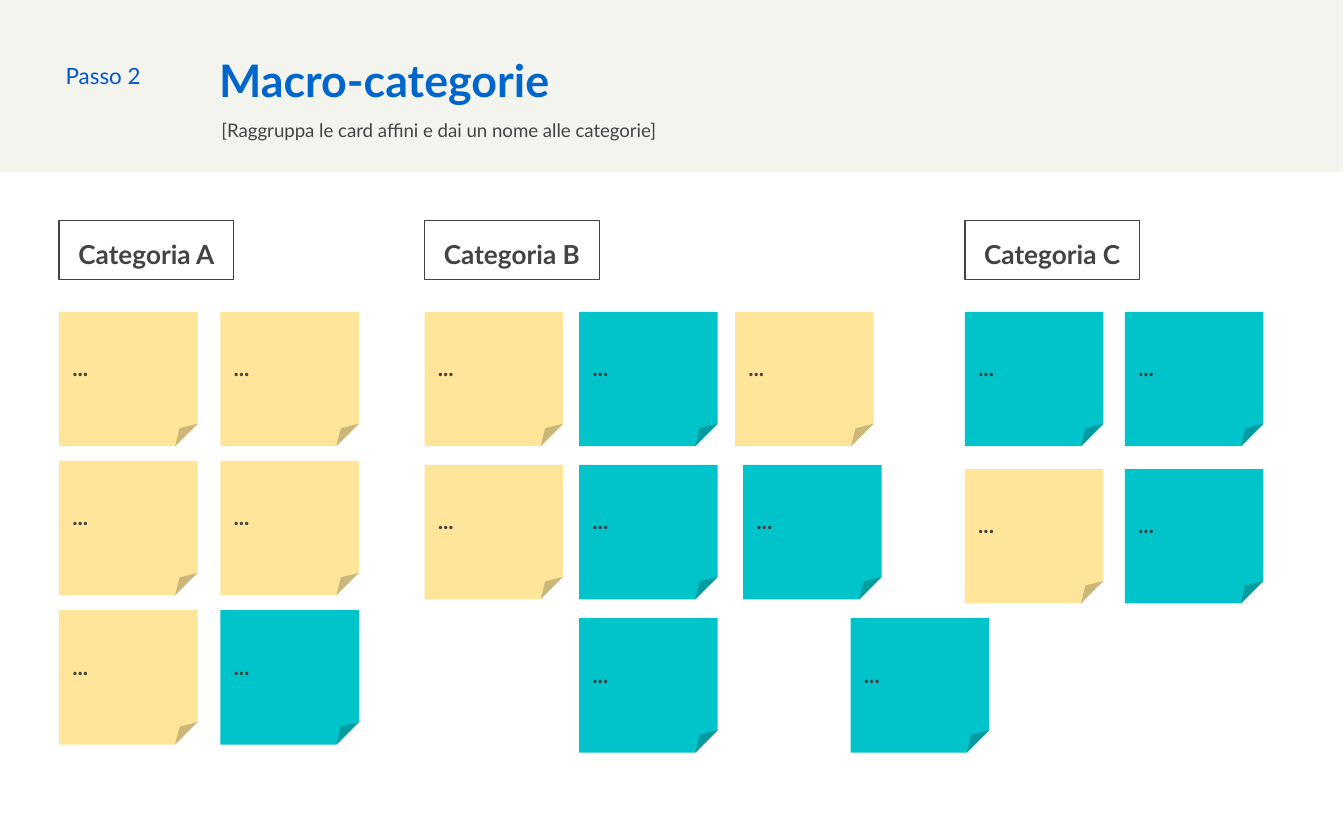
from dataclasses import dataclass

from pptx import Presentation
from pptx.dml.color import RGBColor
from pptx.enum.shapes import MSO_SHAPE
from pptx.enum.text import MSO_ANCHOR, MSO_AUTO_SIZE, PP_ALIGN
from pptx.shapes.autoshape import Shape
from pptx.slide import Slide
from pptx.util import Emu, Pt

EMU_PER_PX = 9144  # 100 px to the inch
NOTE_WIDTH, NOTE_HEIGHT = 103, 100
FIRST_ROW_TOP = 232
LABEL_TOP, LABEL_WIDTH, LABEL_HEIGHT = 164, 130, 44
INSET = 10


@dataclass(frozen=True)
class Theme:
    font: str = "Lato"
    band: str = "F4F4EF"
    ink: str = "434343"
    title: str = "0066CC"
    step: str = "0056CB"
    yellow: str = "FFE599"
    teal: str = "00C4C9"
    title_size: int = 24
    label_size: int = 14
    note_size: int = 12
    step_size: int = 12
    subtitle_size: int = 10


THEME = Theme()


@dataclass(frozen=True)
class Note:
    left: int
    color: str


@dataclass(frozen=True)
class Category:
    label: str
    left: int
    row_pitch: int
    rows: tuple[tuple[Note, ...], ...]


Y, T = THEME.yellow, THEME.teal
CATEGORIES = (
    Category("Categoria A", 44, 111, (
        (Note(44, Y), Note(164, Y)),
        (Note(44, Y), Note(164, Y)),
        (Note(44, Y), Note(164, T)),
    )),
    Category("Categoria B", 316, 114, (
        (Note(316, Y), Note(431, T), Note(547, Y)),
        (Note(316, Y), Note(431, T), Note(553, T)),
        (Note(431, T), Note(633, T)),
    )),
    Category("Categoria C", 718, 117, (
        (Note(718, T), Note(837, T)),
        (Note(718, Y), Note(837, T)),
    )),
)


def px(length: int) -> Emu:
    return Emu(length * EMU_PER_PX)


def rgb(color: str) -> RGBColor:
    return RGBColor.from_string(color)


def write(shape: Shape, text: str, size: int, color: str, *, bold: bool = False,
          anchor: MSO_ANCHOR = MSO_ANCHOR.MIDDLE,
          align: PP_ALIGN = PP_ALIGN.LEFT, spacing: float = 1.0) -> None:
    frame = shape.text_frame
    frame.text = text
    frame.word_wrap = True
    frame.auto_size = MSO_AUTO_SIZE.NONE
    frame.vertical_anchor = anchor
    frame.margin_left = frame.margin_right = px(INSET)
    frame.margin_top = frame.margin_bottom = px(INSET)
    paragraph = frame.paragraphs[0]
    paragraph.alignment = align
    paragraph.line_spacing = spacing
    font = paragraph.runs[0].font
    font.name, font.size, font.bold = THEME.font, Pt(size), bold
    font.color.rgb = rgb(color)


def add_box(slide: Slide, kind: MSO_SHAPE, left: int, top: int, width: int,
            height: int, fill: str | None = None) -> Shape:
    box = slide.shapes.add_shape(kind, px(left), px(top), px(width), px(height))
    box.shadow.inherit = False
    box.line.fill.background()
    if fill:
        box.fill.solid()
        box.fill.fore_color.rgb = rgb(fill)
    else:
        box.fill.background()
    return box


def add_label(slide: Slide, category: Category) -> None:
    label = add_box(slide, MSO_SHAPE.RECTANGLE, category.left, LABEL_TOP,
                    LABEL_WIDTH, LABEL_HEIGHT)
    label.line.color.rgb = rgb(THEME.ink)
    label.line.width = Pt(0.75)
    write(label, category.label, THEME.label_size, THEME.ink, bold=True,
          anchor=MSO_ANCHOR.TOP, align=PP_ALIGN.CENTER, spacing=1.15)
    label.text_frame.auto_size = MSO_AUTO_SIZE.SHAPE_TO_FIT_TEXT


def add_note(slide: Slide, note: Note, top: int) -> None:
    card = add_box(slide, MSO_SHAPE.FOLDED_CORNER, note.left, top,
                   NOTE_WIDTH, NOTE_HEIGHT, note.color)
    write(card, "...", THEME.note_size, THEME.ink, bold=True)


def add_header(slide: Slide) -> None:
    title = slide.shapes.title
    title.left, title.top = px(153), px(39)
    title.width, title.height = px(792), px(41)
    write(title, "Macro-categorie", THEME.title_size, THEME.title, bold=True)

    # The band goes behind the title
    band = add_box(slide, MSO_SHAPE.RECTANGLE, -1, -3, 1000, 131, THEME.band)
    title.element.addprevious(band.element)

    subtitle = slide.shapes.add_textbox(px(155), px(76), px(580), px(34))
    write(subtitle, "[Raggruppa le card affini e dai un nome alle categorie]",
          THEME.subtitle_size, THEME.ink, anchor=MSO_ANCHOR.TOP, spacing=1.15)

    step = slide.shapes.add_textbox(px(39), px(39), px(111), px(34))
    write(step, "Passo 2", THEME.step_size, THEME.step)


def main() -> None:
    presentation = Presentation()
    presentation.slide_width, presentation.slide_height = px(1000), px(625)
    title_only = presentation.slide_layouts[5]
    slide = presentation.slides.add_slide(title_only)

    add_header(slide)

    # Category labels with their sticky notes
    for category in CATEGORIES:
        add_label(slide, category)
        for index, row in enumerate(category.rows):
            for note in row:
                add_note(slide, note, FIRST_ROW_TOP + index * category.row_pitch)

    presentation.save("out.pptx")


if __name__ == "__main__":
    main()
